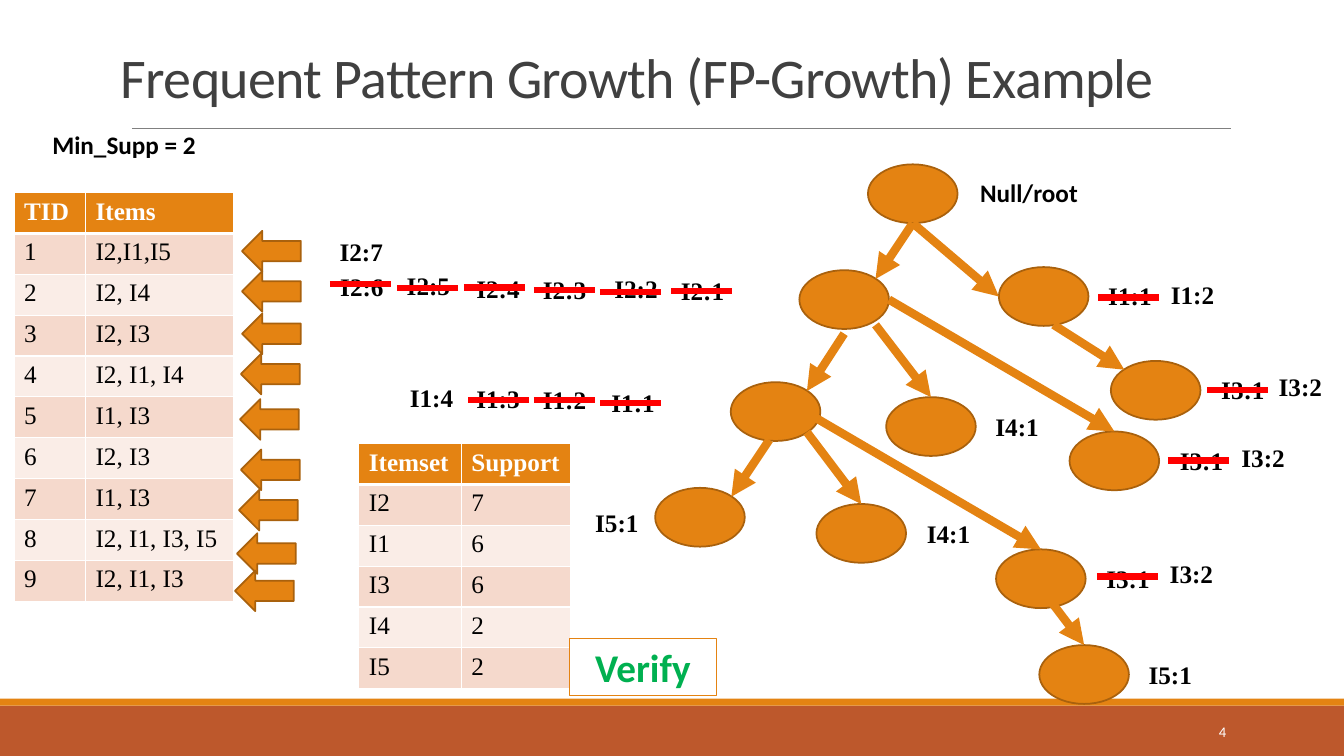
from lxml import etree
from pptx import Presentation
from pptx import util as u
from pptx.dml.color import RGBColor
from pptx.enum import shapes, text
from pptx.oxml.ns import qn

ORANGE, OUTLINE, RUST, RED = "E48312", "A9610D", "BD582C", "FF0000"
WHITE, BLACK, GREEN, TITLE_GREY, RULE_GREY = "FFFFFF", "000000", "00B050", "404040", "808080"
BANDS = ("F5D9CC", "FAEDE7")
SANS, SERIF = "Calibri", "Times New Roman"
NODE_WIDTH, NODE_HEIGHT = 64, 42
ROW_HEIGHT = 29.2

TRANSACTIONS = [("TID", "Items"), ("1", "I2,I1,I5"), ("2", "I2, I4"), ("3", "I2, I3"),
                ("4", "I2, I1, I4"), ("5", "I1, I3"), ("6", "I2, I3"), ("7", "I1, I3"),
                ("8", "I2, I1, I3, I5"), ("9", "I2, I1, I3")]
SUPPORTS = [("Itemset", "Support"), ("I2", "7"), ("I1", "6"), ("I3", "6"), ("I4", "2"), ("I5", "2")]

# Arrow positions relative to the right top corner of the transaction table
ROW_ARROWS = [(5.8, 27.4), (5.8, 56.2), (5.8, 86.4), (5, 115.2), (4.4, 147.6),
              (5, 183.6), (3.6, 212.4), (2.2, 243.4), (0.8, 270)]

# Left top corner of each node within the tree
NODES = {"root": (386, 0.4), "I2": (337, 76), "I2-I1": (288, 156), "I2-I1-I5": (234, 231.5),
         "I2-I4": (399, 166.7), "I2-I3": (530, 191.2), "I2-I1-I4": (349.2, 243),
         "I1": (479.5, 73.8), "I1-I3": (559.5, 140.8), "I2-I1-I3": (477.5, 275.4),
         "I2-I1-I3-I5": (508.4, 343.8)}

# Parent, child, and the end points as fractions of each node's size
EDGES = [("root", "I2", (0.5, 1), (0.85, 0.15)),
         ("I2", "I2-I1", (0.5, 1.08), (0.85, 0.15)),
         ("I2-I1", "I2-I1-I5", (0.43, 0.98), (0.85, 0.15)),
         ("I2", "I2-I4", (0.85, 0.93), (0.5, 0)),
         ("I2", "I2-I3", (1, 0.5), (0.5, 0)),
         ("I2-I1", "I2-I1-I4", (0.85, 0.85), (0.5, 0)),
         ("root", "I1", (0.5, 1), (0, 0.5)),
         ("I1", "I1-I3", (0.61, 0.98), (0.15, 0.15)),
         ("I2-I1", "I2-I1-I3", (0.94, 0.6), (0.5, 0)),
         ("I2-I1-I3", "I2-I1-I3-I5", (0.37, 0.4), (0.5, 0))]

# Counts still valid: text and centre within the tree
CURRENT_COUNTS = [("I2:7", 24, 63), ("I1:4", 74.2, 166.7), ("I1:2", 617.8, 93.2),
                  ("I3:2", 694.8, 159.5), ("I3:2", 668.2, 209.9), ("I3:2", 617, 292.7),
                  ("I4:1", 492.5, 187.6), ("I4:1", 443.5, 263.9), ("I5:1", 601.9, 364.7),
                  ("I5:1", 206.6, 256)]

# Counts struck out: text, centre, and shift of the strike from the centre
OLD_COUNTS = [("I2:6", 24.5, 87.5, -1, -1.5), ("I2:5", 72, 86.8, -0.5, 1.7),
              ("I2:4", 121.7, 88.9, -2.5, -0.5), ("I2:3", 169.2, 89.6, 0, 0.5),
              ("I2:2", 220.3, 88.9, -4, 2.9), ("I2:1", 267.8, 90.4, -0.5, 0.7),
              ("I1:3", 121.7, 167.4, 0.4, 1.4), ("I1:2", 169.2, 168.8, 0, 0),
              ("I1:1", 218.2, 170.3, -1.8, 0.7), ("I1:1", 573.1, 94, -0.7, 1.4),
              ("I3:1", 653.8, 161.6, -3.6, 0), ("I3:1", 624.2, 212, -2.2, 0),
              ("I3:1", 571.7, 296.3, -0.4, -1.4)]


def color(value):
    return RGBColor.from_string(value)


def points(*values):
    return [u.Pt(value) for value in values]


def write(frame, content, font_color, align=text.PP_ALIGN.CENTER, **font_format):
    frame.word_wrap = True
    paragraph = frame.paragraphs[0]
    paragraph.alignment = align
    run = paragraph.add_run()
    run.text = content
    values = {"name": SANS, "size": u.Pt(18), "bold": True, **font_format}
    for name, value in values.items():
        setattr(run.font, name, value)
    run.font.color.rgb = color(font_color)
    return run


def add_label(slide, content, center_x, center_y, width=60, font=SERIF):
    box = slide.shapes.add_textbox(*points(center_x - width / 2, center_y - 14.5, width, 29))
    write(box.text_frame, content, BLACK, name=font)


def add_preset(slide, kind, box, fill=None, line=None, line_width=1.25):
    shape = slide.shapes.add_shape(kind, *points(*box))
    shape.shadow.inherit = False
    if fill:
        shape.fill.solid()
        shape.fill.fore_color.rgb = color(fill)
    else:
        shape.fill.background()
    if line:
        shape.line.color.rgb = color(line)
        shape.line.width = u.Pt(line_width)
    else:
        shape.line.fill.background()
    return shape


def add_line(slide, start, end, line_color, width, arrow=False):
    line = slide.shapes.add_connector(shapes.MSO_CONNECTOR.STRAIGHT, *points(*start, *end))
    line.line.color.rgb = color(line_color)
    line.line.width = u.Pt(width)
    if arrow:
        etree.SubElement(line.line._get_or_add_ln(), qn("a:tailEnd"), type="triangle")
    etree.SubElement(line._element.spPr, qn("a:effectLst"))


def add_borders(cell, is_header):
    properties = cell._tc.get_or_add_tcPr()
    for side in "LRTB":
        width = 3 if is_header and side == "B" else 1
        border = etree.SubElement(properties, qn(f"a:ln{side}"), w=str(u.Pt(width)))
        fill = etree.SubElement(border, qn("a:solidFill"))
        etree.SubElement(fill, qn("a:srgbClr"), val=WHITE)


def draw_table(slide, left, top, column_widths, rows):
    box = points(left, top, sum(column_widths), ROW_HEIGHT * len(rows))
    table = slide.shapes.add_table(len(rows), len(column_widths), *box).table
    for column, width in zip(table.columns, column_widths):
        column.width = u.Pt(width)
    for index, values in enumerate(rows):
        is_header = index == 0
        table.rows[index].height = u.Pt(ROW_HEIGHT)
        for cell, value in zip(table.rows[index].cells, values):
            add_borders(cell, is_header)
            cell.fill.solid()
            cell.fill.fore_color.rgb = color(ORANGE if is_header else BANDS[(index - 1) % 2])
            write(cell.text_frame, value, WHITE if is_header else BLACK,
                  text.PP_ALIGN.LEFT, name=SERIF, bold=is_header)


def draw_frame(slide, width, height):
    # Footer bands, page number and title rule
    add_preset(slide, shapes.MSO_SHAPE.RECTANGLE, (0, height - 36, width, 36), RUST)
    add_preset(slide, shapes.MSO_SHAPE.RECTANGLE, (0, height - 41, width, 5), ORANGE)
    add_line(slide, (94.3, 91.5), (879.1, 91.5), RULE_GREY, 0.5)
    number = slide.shapes.add_textbox(*points(width - 180, height - 31.7, 103, 28.8))
    number.text_frame.vertical_anchor = text.MSO_ANCHOR.MIDDLE
    write(number.text_frame, "4", WHITE, text.PP_ALIGN.RIGHT, size=u.Pt(10.5), bold=False)

    # Title
    title = slide.shapes.title
    box = dict(zip(("left", "top", "width", "height"), points(79.2, 4.3, 792, 77.8)))
    for name, value in box.items():
        setattr(title, name, value)
    title.text_frame.vertical_anchor = text.MSO_ANCHOR.BOTTOM
    run = write(title.text_frame, "Frequent Pattern Growth (FP-Growth) Example", TITLE_GREY,
                text.PP_ALIGN.LEFT, size=u.Pt(40), bold=False)
    title.text_frame.paragraphs[0].line_spacing = 0.85
    run.font._element.set("spc", "-50")


def draw_transactions(slide, left, top):
    widths = (51, 106)
    add_label(slide, "Min_Supp = 2", left + 78.5, top - 34.5, 142, SANS)
    draw_table(slide, left, top, widths, TRANSACTIONS)
    for x, y in ROW_ARROWS:
        box = (left + sum(widths) + x, top + y, 42, 29)
        add_preset(slide, shapes.MSO_SHAPE.LEFT_ARROW, box, ORANGE, OUTLINE)


def draw_tree(slide, left, top):
    # Nodes
    for x, y in NODES.values():
        add_preset(slide, shapes.MSO_SHAPE.OVAL, (left + x, top + y, NODE_WIDTH, NODE_HEIGHT),
                   ORANGE, OUTLINE)

    # Edges
    def anchor(node, fraction):
        x, y = NODES[node]
        return left + x + fraction[0] * NODE_WIDTH, top + y + fraction[1] * NODE_HEIGHT

    for parent, child, start, end in EDGES:
        add_line(slide, anchor(parent, start), anchor(child, end), ORANGE, 6, arrow=True)

    # Counts
    add_label(slide, "Null/root", left + 501, top + 20.5, 100, SANS)
    for content, x, y in CURRENT_COUNTS:
        add_label(slide, content, left + x, top + y)
    for content, x, y, shift_x, shift_y in OLD_COUNTS:
        add_label(slide, content, left + x, top + y)
        strike_x, strike_y = left + x + shift_x, top + y + shift_y
        add_line(slide, (strike_x - 21.8, strike_y), (strike_x + 21.8, strike_y), RED, 4.5)


def draw_supports(slide, left, top):
    draw_table(slide, left, top, (73.2, 78.2), SUPPORTS)
    verify = add_preset(slide, shapes.MSO_SHAPE.RECTANGLE, (left + 150.5, top + 139, 105, 41),
                        line=ORANGE, line_width=0.75)
    write(verify.text_frame, "Verify", GREEN, size=u.Pt(28))


def main():
    presentation = Presentation()
    presentation.slide_width, presentation.slide_height = points(960, 540)
    slide = presentation.slides.add_slide(presentation.slide_layouts[5])
    draw_frame(slide, 960, 540)
    draw_transactions(slide, 10.1, 137.5)
    draw_tree(slide, 234, 117)
    draw_supports(slide, 256.3, 316.8)
    presentation.save("out.pptx")


if __name__ == "__main__":
    main()
